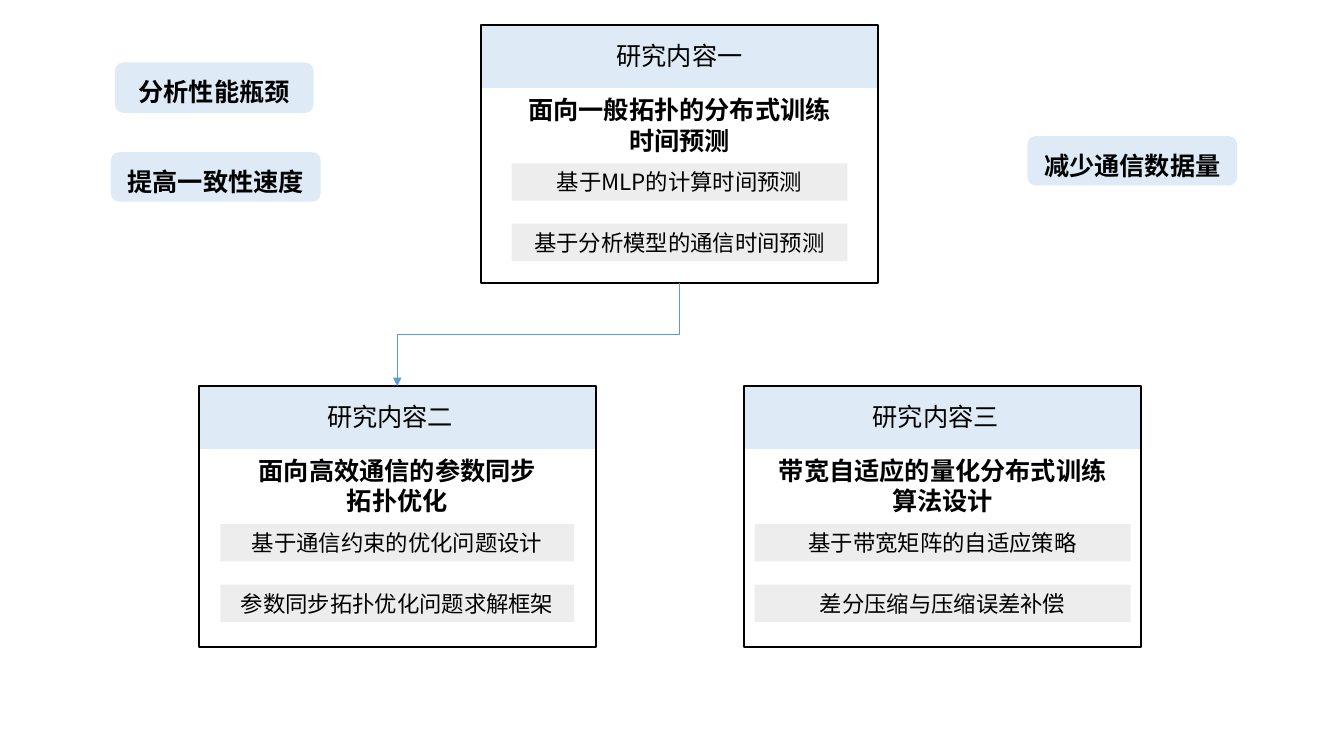
from dataclasses import dataclass

from lxml.etree import SubElement
from pptx import Presentation
from pptx.dml.color import RGBColor
from pptx.enum.shapes import MSO_CONNECTOR as Link, MSO_SHAPE as Kind
from pptx.enum.text import MSO_ANCHOR as Anchor, MSO_AUTO_SIZE as Fit, PP_ALIGN as Align
from pptx.oxml.ns import qn
from pptx.util import Inches, Pt


@dataclass(frozen=True)
class Theme:
    font: str = "Noto Sans CJK SC"
    ink: str = "000000"
    pale: str = "DEEBF7"
    gray: str = "EDEDED"
    blue: str = "5B9BD5"
    head: int = 18
    body: int = 16


THEME = Theme()
CARD_W, BAND_H, ITEM_H = 3.94, 0.62, 0.37

# centre, top, height, title shift, title, headline width, headline, item width, items
CARDS = [
    (6.74, 0.25, 2.56, 0, "研究内容一", 3.33, ["面向一般拓扑的分布式训练时间预测"],
     3.33, ["基于MLP的计算时间预测", "基于分析模型的通信时间预测"]),
    (3.94, 3.83, 2.59, -0.07, "研究内容二", 3.17, ["面向高效通信的参数同步拓扑优化"],
     3.51, ["基于通信约束的优化问题设计", "参数同步拓扑优化问题求解框架"]),
    (9.35, 3.83, 2.59, -0.07, "研究内容三", 3.94, ["带宽自适应的量化分布式训练", "算法设计"],
     3.73, ["基于带宽矩阵的自适应策略", "差分压缩与压缩误差补偿"]),
]

# left, top, width, height, label width, label
PILLS = [
    (10.19, 1.35, 2.08, 0.49, 1.98, "减少通信数据量"),
    (1.1, 1.51, 2.08, 0.49, 1.98, "提高一致性速度"),
    (1.14, 0.62, 1.97, 0.5, 1.73, "分析性能瓶颈"),
]


def color(code):
    return RGBColor.from_string(code)


def write(shape, lines, size, bold=False, wrap=True, space=None):
    """Fill a shape with centred paragraphs, one per line."""
    frame = shape.text_frame
    frame.auto_size = Fit.SHAPE_TO_FIT_TEXT
    frame.word_wrap = wrap
    for i, line in enumerate(lines):
        para = frame.add_paragraph() if i else frame.paragraphs[0]
        para.alignment = Align.CENTER
        if space:
            para.line_spacing = space
        run = para.add_run()
        run.text = line
        font = run.font
        font.size, font.bold = Pt(size), bold
        font.color.rgb = color(THEME.ink)
        font.name = THEME.font
        SubElement(run._r.get_or_add_rPr(), qn("a:ea"), typeface=THEME.font)


def box(slide, x, y, w, h, fill=None, line=None, width=1, kind=Kind.RECTANGLE):
    shape = slide.shapes.add_shape(kind, Inches(x), Inches(y), Inches(w), Inches(h))
    shape.shadow.inherit = False
    if fill:
        shape.fill.solid()
        shape.fill.fore_color.rgb = color(fill)
    else:
        shape.fill.background()
    if line:
        shape.line.color.rgb = color(line)
        shape.line.width = Pt(width)
    else:
        shape.line.fill.background()
    return shape


def label(slide, mid, y, w, h, lines, **style):
    """Place a text box centred on mid."""
    area = slide.shapes.add_textbox(Inches(mid - w / 2), Inches(y), Inches(w), Inches(h))
    write(area, lines, THEME.head, **style)


def card(slide, mid, top, high, shift, title, head_w, head, item_w, items):
    left = mid - CARD_W / 2
    box(slide, left, top, CARD_W, BAND_H, THEME.pale, THEME.pale)
    box(slide, left, top, CARD_W, high, line=THEME.ink, width=1.5)
    label(slide, mid + shift, top + 0.1, 1.46, 0.4, [title], wrap=False)
    label(slide, mid, top + 0.64, head_w, 0.71, head, bold=True)
    for i, item in enumerate(items):
        bar = box(slide, mid - item_w / 2, top + 1.37 + 0.6 * i, item_w, ITEM_H, THEME.gray)
        bar.text_frame.vertical_anchor = Anchor.MIDDLE
        write(bar, [item], THEME.body)


def pill(slide, x, y, w, h, text_w, text):
    box(slide, x, y, w, h, THEME.pale, kind=Kind.ROUNDED_RECTANGLE)
    label(slide, x + w / 2, y + 0.03, text_w, 0.42, [text], bold=True, wrap=False, space=1.2)


def arrow(slide, x1, y1, x2, y2):
    """Draw an elbow arrow that leaves and arrives vertically, down to the left."""
    # The elbow runs sideways by default, so it is laid out flat and turned by 90 degrees.
    run, rise = y2 - y1, x1 - x2
    x, y = (x1 + x2 - run) / 2, (y1 + y2 - rise) / 2
    link = slide.shapes.add_connector(
        Link.ELBOW, Inches(x), Inches(y), Inches(x + run), Inches(y + rise))
    link.line.color.rgb = color(THEME.blue)
    link.line.width = Pt(0.5)
    props = link._element.spPr
    props.find(qn("a:xfrm")).set("rot", str(90 * 60000))
    SubElement(props.find(qn("a:ln")), qn("a:tailEnd"), type="triangle")
    SubElement(props, qn("a:effectLst"))


def main():
    deck = Presentation()
    deck.slide_width, deck.slide_height = Inches(13.33), Inches(7.5)
    slide = deck.slides.add_slide(deck.slide_layouts[6])
    for args in PILLS:
        pill(slide, *args)
    for args in CARDS:
        card(slide, *args)
    first, second = CARDS[:2]
    arrow(slide, first[0], first[1] + first[2], second[0], second[1])
    deck.save("out.pptx")


if __name__ == "__main__":
    main()
